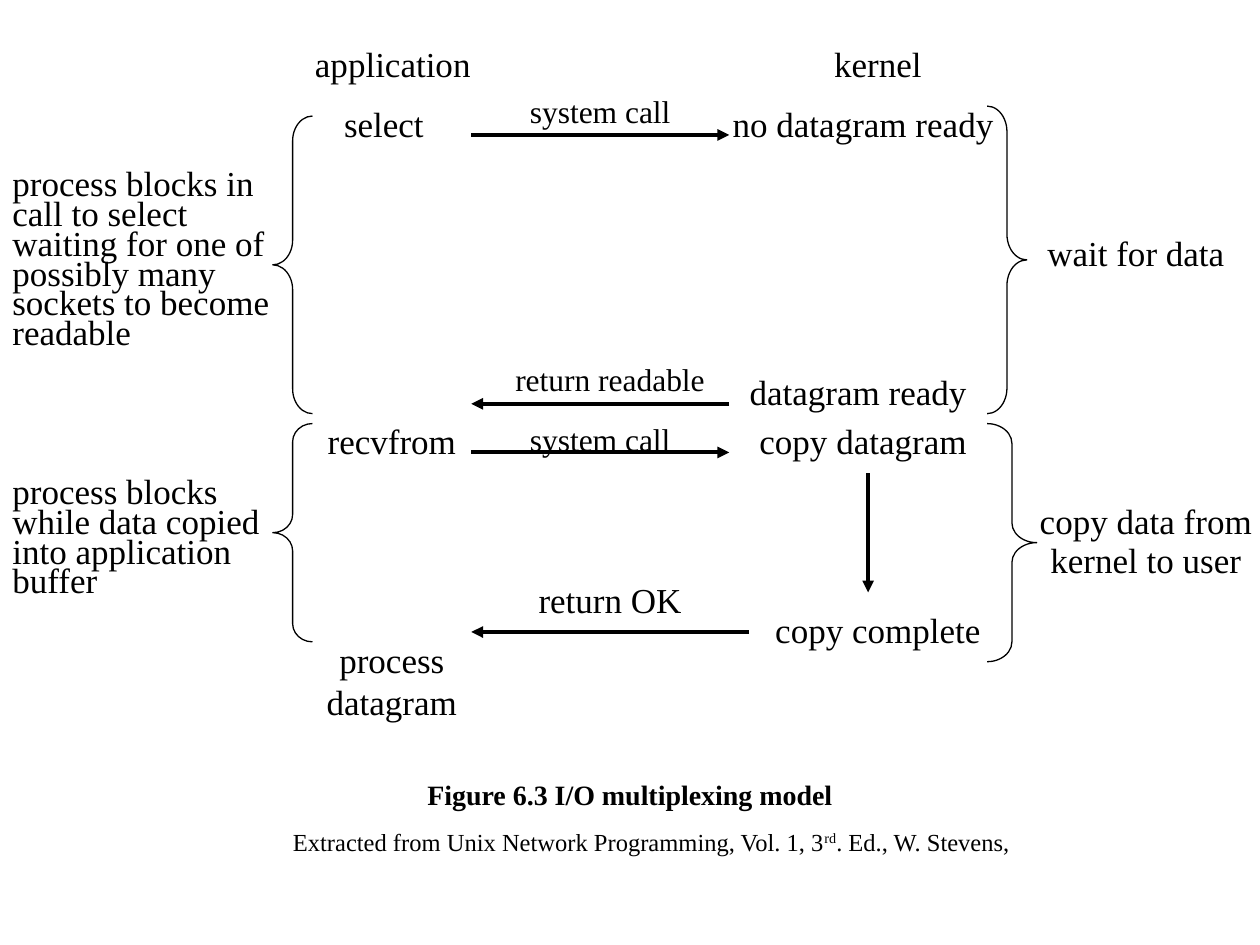
from lxml import etree
from pptx import Presentation
from pptx.dml.color import RGBColor
from pptx.enum.dml import MSO_LINE
from pptx.enum.shapes import MSO_CONNECTOR, MSO_SHAPE
from pptx.enum.text import MSO_ANCHOR, MSO_AUTO_SIZE, PP_ALIGN
from pptx.oxml.ns import qn
from pptx.util import Inches, Pt

LEFT, MID = PP_ALIGN.LEFT, PP_ALIGN.CENTER
TOP, FIXED = MSO_ANCHOR.TOP, MSO_AUTO_SIZE.NONE
STRAIGHT, SOLID = MSO_CONNECTOR.STRAIGHT, MSO_LINE.SOLID
OPEN, CLOSE = MSO_SHAPE.LEFT_BRACE, MSO_SHAPE.RIGHT_BRACE
FONT = "Times New Roman"
INK = {"text": "000000", "line": "000000"}
COLS = 127
CELL = Inches(10) / COLS
ROW = 5.6


def grid(*cells):
    return [round(cell * CELL) for cell in cells]


def say(slide, text, x, y, w, h=ROW, size=20, align=MID, bold=False, shape=None):
    spot = grid(x, y, w, h)
    if shape is None:
        shape = slide.shapes.add_textbox(*spot)
    else:
        shape.left, shape.top, shape.width, shape.height = spot
    frame = shape.text_frame
    frame.word_wrap, frame.auto_size, frame.vertical_anchor = True, FIXED, TOP
    para = frame.paragraphs[0]
    para.alignment = align
    for turn, part in enumerate(text.split("^")):
        run = para.add_run()
        run.text = part
        font = run.font
        font.name, font.size, font.bold = FONT, Pt(size), bold
        font.color.rgb = RGBColor.from_string(INK["text"])
        if turn % 2:
            run._r.get_or_add_rPr().set("baseline", "30000")


def ink(line, width):
    line.color.rgb = RGBColor.from_string(INK["line"])
    line.width = Pt(width)
    line.dash_style = SOLID


def arrow(slide, x, y, to_x, to_y):
    link = slide.shapes.add_connector(STRAIGHT, *grid(x, y, to_x, to_y))
    ink(link.line, 2.25)
    props = link._element.spPr
    tail = etree.SubElement(props.find(qn("a:ln")), qn("a:tailEnd"))
    tail.set("type", "triangle")
    etree.SubElement(props, qn("a:effectLst"))


def brace(slide, kind, x, y, w, h):
    mark = slide.shapes.add_shape(kind, *grid(x, y, w, h))
    mark.adjustments[0] = h / 12 / w
    mark.fill.background()
    mark.shadow.inherit = False
    ink(mark.line, 0.75)


def app(slide, x, y, w):
    say(slide, "application", x + 1, y, w, align=LEFT)
    say(slide, "select", x - 0.8, y + 6, w)
    say(slide, "recvfrom", x, y + 38, w)
    say(slide, "process datagram", x, y + 60, w, h=9.8)


def kernel(slide, x, y, w):
    say(slide, "kernel", x + 7, y, 20)
    say(slide, "no datagram ready", x + 1, y + 6, w - 1)
    say(slide, "datagram ready", x, y + 33, w)
    say(slide, "copy datagram", x, y + 38, w + 1)
    arrow(slide, x + 16, y + 44, x + 16, y + 56)
    say(slide, "copy complete", x + 4, y + 57, w - 4)


def calls(slide, x, y, w):
    end = x + w
    say(slide, "system call", x + 2, y, 22, h=5, size=18)
    arrow(slide, x, y + 4.9, end, y + 4.9)
    say(slide, "return readable", x, y + 27, 28, h=5, size=18)
    arrow(slide, end, y + 32, x, y + 32)
    say(slide, "system call", x + 2, y + 33, 22, h=5, size=18)
    arrow(slide, x, y + 36.9, end, y + 36.9)
    say(slide, "return OK", x + 4, y + 49, 20)
    arrow(slide, end + 2, y + 55, x, y + 55)


def note(slide, lines, x, y, w, step, align):
    for row, text in enumerate(lines):
        say(slide, text, x, y + row * step, w, align=align)


def blocks(slide, x, y, w):
    note(slide, ["process blocks in", "call to select", "waiting for one of",
                 "possibly many", "sockets to become", "readable"],
         x, y + 4, w, 3, LEFT)
    brace(slide, OPEN, x + 27.5, y, 4, 30)
    note(slide, ["process blocks", "while data copied", "into application",
                 "buffer"], x, y + 35, w, 3, LEFT)
    brace(slide, OPEN, x + 27.5, y + 31, 4, 22)


def phases(slide, x, y, w):
    brace(slide, CLOSE, x, y, 4, 31)
    say(slide, "wait for data", x + 2.5, y + 12, w - 3)
    brace(slide, CLOSE, x, y + 32, 5, 24)
    note(slide, ["copy data from", "kernel to user"], x + 2, y + 39, w, 4, MID)


def caption(slide, x, y, w):
    say(slide, "Figure 6.3 I/O multiplexing model", x, y, w, h=4.7, size=16,
        bold=True, shape=slide.shapes.title)
    say(slide, "Extracted from Unix Network Programming, Vol. 1, "
        "3^rd^. Ed., W. Stevens,", x + 26.9, y + 5, 77.5, h=4.3, size=14)


def main():
    deck = Presentation()
    deck.slide_width, deck.slide_height = Inches(10), Inches(7.5)
    slide = deck.slides.add_slide(deck.slide_layouts[5])
    app(slide, 29.5, 3.7, 20)
    kernel(slide, 71.5, 3.7, 30)
    calls(slide, 47.5, 8.7, 26)
    blocks(slide, 0, 11.7, 38)
    phases(slide, 99.5, 10.7, 28)
    caption(slide, 0, 77.7, COLS)
    deck.save("out.pptx")


if __name__ == "__main__":
    main()
